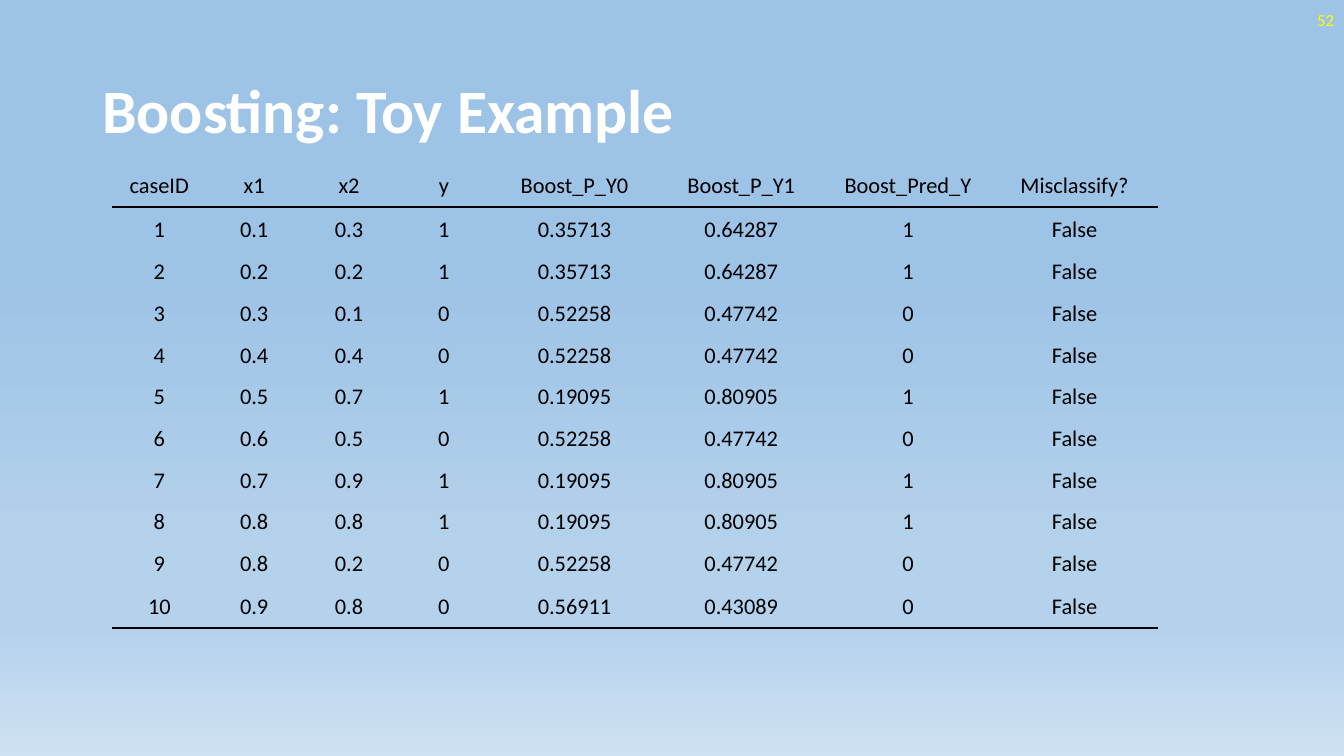
from lxml import etree
from pptx import Presentation, util as u
from pptx.dml.color import RGBColor
from pptx.enum import text
from pptx.oxml import ns

COLORS = {"title": "FFFFFF", "number": "FFFF00", "ink": "000000",
          "sky": "9DC3E6", "haze": "B5D2EC", "horizon": "CEE1F2"}
SKY_STOPS = [(35, "sky"), (74, "haze"), (83, "haze"), (100, "horizon")]
NO_STYLE = "{2D5ABB26-0587-4C30-8999-92F81FD0307C}"

COL_WIDTHS = [2.39] * 4 + [4.2] * 4
HEADER = ["caseID", "x1", "x2", "y", "Boost_P_Y0", "Boost_P_Y1",
          "Boost_Pred_Y", "Misclassify?"]
# x1, x2, y, P(Y=0), P(Y=1), predicted y
CASES = [
    ("0.1", "0.3", "1", "0.35713", "0.64287", "1"),
    ("0.2", "0.2", "1", "0.35713", "0.64287", "1"),
    ("0.3", "0.1", "0", "0.52258", "0.47742", "0"),
    ("0.4", "0.4", "0", "0.52258", "0.47742", "0"),
    ("0.5", "0.7", "1", "0.19095", "0.80905", "1"),
    ("0.6", "0.5", "0", "0.52258", "0.47742", "0"),
    ("0.7", "0.9", "1", "0.19095", "0.80905", "1"),
    ("0.8", "0.8", "1", "0.19095", "0.80905", "1"),
    ("0.8", "0.2", "0", "0.52258", "0.47742", "0"),
    ("0.9", "0.8", "0", "0.56911", "0.43089", "0"),
]


def set_attrs(obj, values):
    for name, value in values.items():
        setattr(obj, name, value)


def sub(parent, tag, **attrs):
    return etree.SubElement(parent, ns.qn(tag), attrs)


def write(tf, words, size, color, align, bold=False, spacing=1.0):
    p = tf.paragraphs[0]
    set_attrs(p, {"alignment": align, "line_spacing": spacing})
    r = p.add_run()
    r.text = words
    set_attrs(r.font, {"name": "Calibri", "size": u.Pt(size), "bold": bold})
    r.font.color.rgb = RGBColor.from_string(COLORS[color])


def add_text(s, box, *args, **kwargs):
    sp = s.shapes.add_textbox(*map(u.Cm, box))
    tf = sp.text_frame
    set_attrs(tf, {"word_wrap": True, "vertical_anchor": text.MSO_ANCHOR.MIDDLE})
    write(tf, *args, **kwargs)


def set_background(s):
    fill = s.background.fill
    fill.gradient()
    grad = s.background._cSld.bg.bgPr.find(ns.qn("a:gradFill"))
    for child in list(grad):
        grad.remove(child)
    stops = sub(grad, "a:gsLst")
    for percent, color in SKY_STOPS:
        stop = sub(stops, "a:gs", pos=str(percent * 1000))
        sub(stop, "a:srgbClr", val=COLORS[color])
    sub(grad, "a:lin", ang="5400000", scaled="0")


def rule_below(cell):
    tc_pr = cell._tc.get_or_add_tcPr()
    line = sub(tc_pr, "a:lnB", w=str(u.Pt(2)))
    sub(sub(line, "a:solidFill"), "a:srgbClr", val=COLORS["ink"])
    tc_pr.insert(0, line)


def add_cases_table(s, left, top):
    rows = [HEADER] + [(str(i), *case, "False" if case[2] == case[5] else "True")
                       for i, case in enumerate(CASES, 1)]
    last = len(rows) - 1
    heights = [1.1 if i in (0, 1, last) else 1.05 for i in range(len(rows))]
    frame = s.shapes.add_table(len(rows), len(HEADER), u.Cm(left), u.Cm(top),
                               u.Cm(sum(COL_WIDTHS)), u.Cm(sum(heights)))
    table = frame.table
    set_attrs(table, {"first_row": False, "horz_banding": False})
    table._tbl.tblPr.find(ns.qn("a:tableStyleId")).text = NO_STYLE
    for col, width in zip(table.columns, COL_WIDTHS):
        col.width = u.Cm(width)
    for i, (values, height) in enumerate(zip(rows, heights)):
        table.rows[i].height = u.Cm(height)
        for cell, value in zip(table.rows[i].cells, values):
            set_attrs(cell, {"margin_left": u.Cm(0.02), "margin_right": u.Cm(0.02),
                             "margin_top": u.Cm(0.02), "margin_bottom": 0,
                             "vertical_anchor": text.MSO_ANCHOR.MIDDLE})
            cell.fill.background()
            write(cell.text_frame, value, 16, "ink", text.PP_ALIGN.CENTER)
            if i in (0, last):
                rule_below(cell)


def main():
    prs = Presentation()
    set_attrs(prs, {"slide_width": u.Cm(33.87), "slide_height": u.Cm(19.05)})
    s = prs.slides.add_slide(prs.slide_layouts[6])
    set_background(s)

    # Title and slide number
    add_text(s, (2.33, 1.01, 29.21, 3.68), "Boosting: Toy Example", 44, "title",
             text.PP_ALIGN.LEFT, bold=True, spacing=0.9)
    add_text(s, (26.25, 0, 7.62, 1.01), "52", 12, "number", text.PP_ALIGN.RIGHT)

    # Boosted predictions for each case
    add_cases_table(s, 2.82, 4.12)
    prs.save("out.pptx")


if __name__ == "__main__":
    main()
